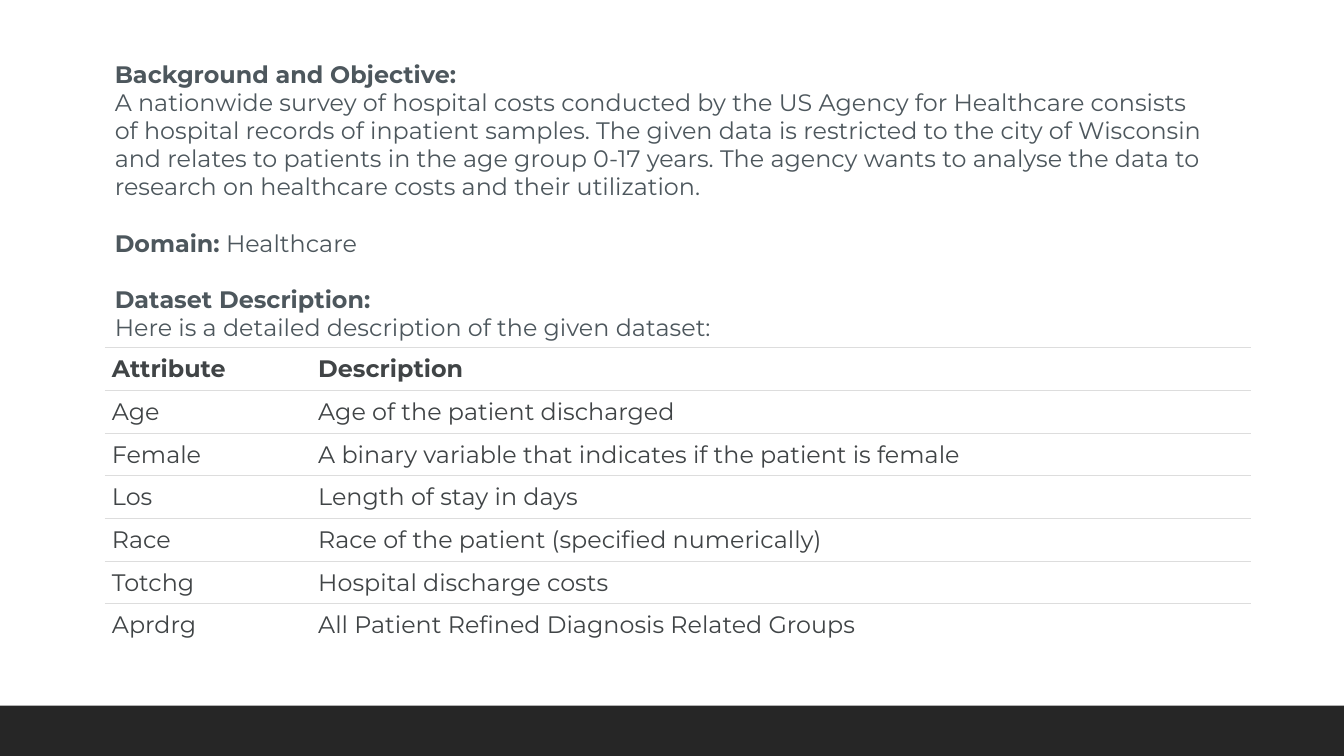
from pptx import Presentation
from pptx.dml.color import RGBColor
from pptx.enum.shapes import MSO_SHAPE as Shape
from pptx.oxml import parse_xml
from pptx.oxml.ns import nsdecls
from pptx.util import Inches, Pt

BAR = RGBColor(0x26, 0x26, 0x26)
BODY = RGBColor(0x4D, 0x57, 0x5D)
CELL = RGBColor(0x40, 0x44, 0x46)
RULE = RGBColor(0xDD, 0xDD, 0xDD)
WHITE = RGBColor(0xFF, 0xFF, 0xFF)

WIDTH, HEIGHT = Inches(13.33), Inches(7.5)
LEFT = Inches(1.04)
FONT, SIZE = "Montserrat", Pt(17)
SECTION_GAP = Pt(20.4)
CELL_MARGIN = Inches(0.07)

# Each section: its paragraphs, as (text, bold) spans
SECTIONS = [
    [
        [("Background and Objective:", True)],
        [("A nationwide survey of hospital costs conducted by the US Agency for "
          "Healthcare consists of hospital records of inpatient samples. The given "
          "data is restricted to the city of Wisconsin and relates to patients in "
          "the age group 0-17 years. The agency wants to analyse the data to "
          "research on healthcare costs and their utilization.", False)],
    ],
    [
        [("Domain:", True), (" Healthcare", False)],
    ],
    [
        [("Dataset Description:", True)],
        [("Here is a detailed description of the given dataset:", False)],
    ],
]

ATTRIBUTES = [
    ("Attribute", "Description"),
    ("Age", "Age of the patient discharged"),
    ("Female", "A binary variable that indicates if the patient is female"),
    ("Los", "Length of stay in days"),
    ("Race", "Race of the patient (specified numerically)"),
    ("Totchg", "Hospital discharge costs"),
    ("Aprdrg", "All Patient Refined Diagnosis Related Groups"),
]


def add_span(para, text, color, bold):
    span = para.add_run()
    span.text = text
    for name, value in {"name": FONT, "size": SIZE, "bold": bold}.items():
        setattr(span.font, name, value)
    span.font.color.rgb = color


def add_footer_bar(page, left, top, width, height):
    bar = page.shapes.add_shape(Shape.RECTANGLE, left, top, width, height)
    bar.shadow.inherit = False
    bar.fill.solid()
    bar.fill.fore_color.rgb = BAR
    bar.line.fill.background()


def add_introduction(page, left, top, width, height):
    frame = page.shapes.add_textbox(left, top, width, height).text_frame
    frame.word_wrap = True
    para = frame.paragraphs[0]
    for number, section in enumerate(SECTIONS):
        for position, spans in enumerate(section):
            if number or position:
                para = frame.add_paragraph()
            if number and position == 0:
                para.space_before = SECTION_GAP
            para.line_spacing = 0.985
            for text, bold in spans:
                add_span(para, text, BODY, bold)


def set_border(cell, side, visible):
    paint = f'<a:solidFill><a:srgbClr val="{RULE}"/></a:solidFill>' if visible else "<a:noFill/>"
    border = parse_xml(f'<a:{side} {nsdecls("a")} w="{Pt(0.6)}">{paint}</a:{side}>')
    # Borders come before the fill in the cell properties
    properties = cell._tc.get_or_add_tcPr()
    fill_index = [child.tag.endswith("solidFill") for child in properties].index(True)
    properties.insert(fill_index, border)


def add_attribute_table(page, left, top, width, height):
    count = len(ATTRIBUTES)
    table = page.shapes.add_table(count, 2, left, top, width, height).table
    table.first_row = table.horz_banding = False
    for column, share in zip(table.columns, (0.18, 0.82)):
        column.width = int(width * share)
    for row, texts in enumerate(ATTRIBUTES):
        table.rows[row].height = height // count
        for column, text in enumerate(texts):
            cell = table.cell(row, column)
            for side in ("left", "right", "top", "bottom"):
                setattr(cell, f"margin_{side}", CELL_MARGIN)
            cell.fill.solid()
            cell.fill.fore_color.rgb = WHITE
            add_span(cell.text_frame.paragraphs[0], text, CELL, row == 0)
            # Rules run above every row, with none under the last
            borders = {"lnL": False, "lnR": False, "lnT": True, "lnB": row < count - 1}
            for side, visible in borders.items():
                set_border(cell, side, visible)


def main():
    deck = Presentation()
    deck.slide_width, deck.slide_height = WIDTH, HEIGHT
    page = deck.slides.add_slide(deck.slide_layouts[6])
    bar_height = Inches(0.5)
    add_footer_bar(page, 0, HEIGHT - bar_height, WIDTH, bar_height)
    add_introduction(page, LEFT, Inches(0.56), Inches(11), Inches(2.68))
    add_attribute_table(page, LEFT, Inches(3.45), Inches(11.37), Inches(2.92))
    deck.save("out.pptx")


if __name__ == "__main__":
    main()
